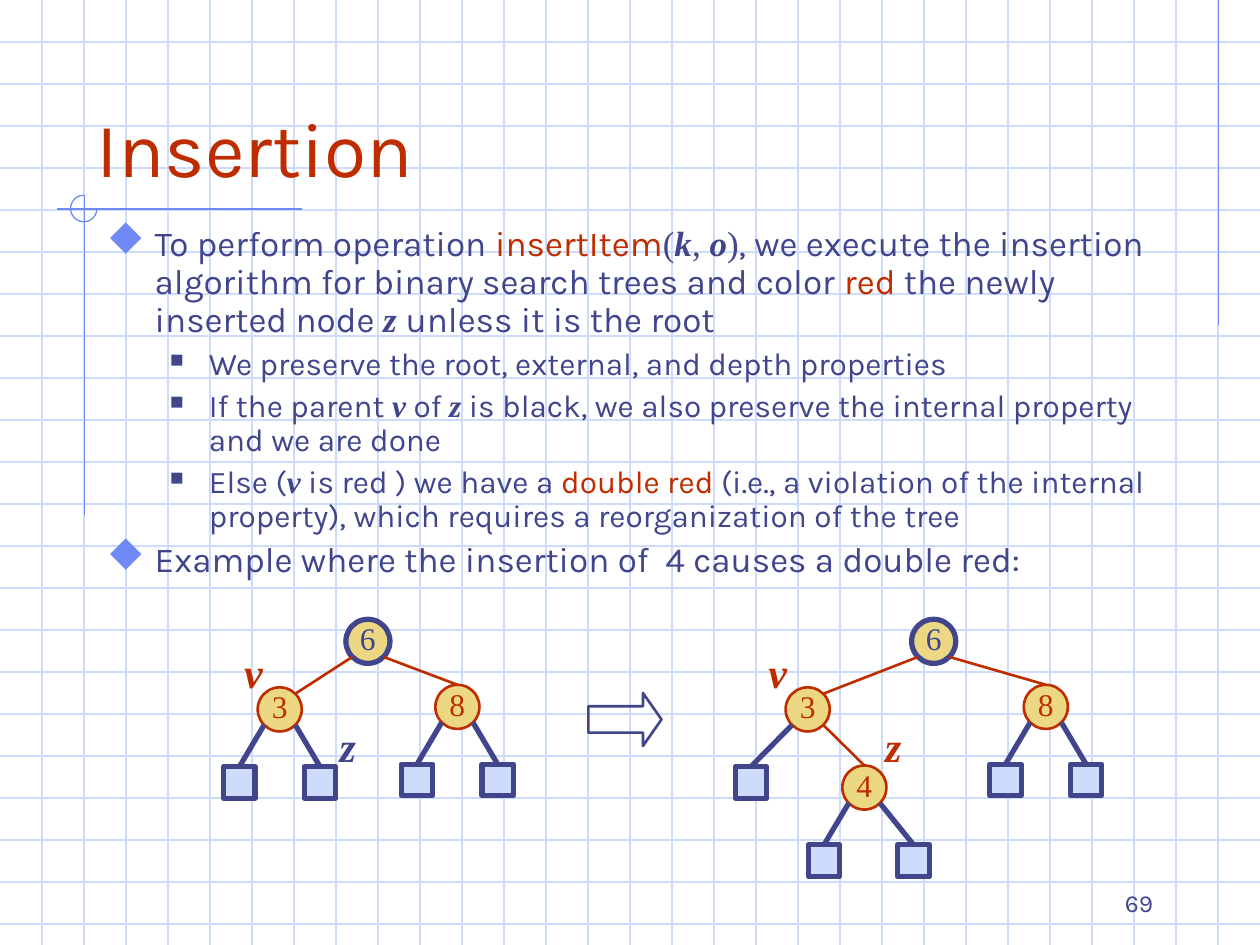
from itertools import chain
from math import sqrt
from lxml.etree import SubElement
from pptx import Presentation
from pptx.dml.color import RGBColor
from pptx.enum.shapes import MSO_CONNECTOR, MSO_SHAPE as Shape
from pptx.enum.text import MSO_ANCHOR as Anchor, PP_ALIGN as Align
from pptx.oxml.ns import qn
from pptx.util import Inches, Pt

WIDTH, HEIGHT, GRID = 10, 7.5, 1 / 3
INK, RED, ACCENT, PALE, GOLD = "40458C", "BE2D00", "6F89F7", "CFDBFD", "ECD882"
SANS, SERIF, BULLET_FONT = "Karla", "Times New Roman", "Wingdings"

PLAIN = {"name": SANS, "color": INK}
WARM = {"name": SANS, "color": RED}
ROMAN = {"name": SERIF, "color": INK}
SYMBOL = {**ROMAN, "bold": True, "italic": True}

DIAMOND, SQUARE = "u", "n"
LEVELS = [
    {"size": 20, "before": 5, "left": 0.38, "hang": 0.38, "bullet": DIAMOND, "color": ACCENT, "percent": 110},
    {"size": 18, "before": 4.5, "left": 0.81, "hang": 0.31, "bullet": SQUARE, "color": INK, "percent": 60},
]
BODY = [
    (0, [("To perform operation ", PLAIN), ("insertItem", WARM), ("(", ROMAN), ("k", SYMBOL),
         (", ", ROMAN), ("o", SYMBOL), (")", ROMAN),
         (", we execute the insertion algorithm for binary search trees and color ", PLAIN),
         ("red", WARM), (" the newly inserted node ", PLAIN), ("z ", SYMBOL),
         ("unless it is the root", PLAIN)]),
    (1, [("We preserve the root, external, and depth properties", PLAIN)]),
    (1, [("If the parent ", PLAIN), ("v", SYMBOL), (" of ", PLAIN), ("z", SYMBOL),
         (" is black, we also preserve the internal property and we are done", PLAIN)]),
    (1, [("Else (", PLAIN), ("v", SYMBOL), (" is red ) we have a ", PLAIN), ("double red", WARM),
         (" (i.e., a violation of the internal property), which requires a reorganization of the tree", PLAIN)]),
    (0, [("Example where the insertion of  4 causes a double red:", PLAIN)]),
]

TREES = [
    [("6", 2.92, 5.09, None, ()), ("3", 2.22, 5.63, "6", (-0.32, 0.32)),
     ("8", 3.63, 5.61, "6", (-0.32, 0.32))],
    [("6", 7.41, 5.09, None, ()), ("3", 6.41, 5.63, "6", (-0.45,)),
     ("8", 8.3, 5.61, "6", (-0.32, 0.32)), ("4", 6.86, 6.25, "3", (-0.32, 0.39))],
]
NODE_SIZE, LEAF_SIZE, LEAF_DROP = 0.35, 0.25, 0.58
DIAGONAL = NODE_SIZE / 2 / sqrt(2)
NODE_LABELS = [("z", 2.59, 5.67, INK), ("v", 1.84, 5.08, RED),
               ("v", 6, 5.08, RED), ("z", 6.92, 5.67, RED)]
FRAME_LINES = [(9.67, 0, 9.67, 2.58), (2.4, 1.66, 0.45, 1.66), (0.67, 1.55, 0.67, 4.09)]

presentation = Presentation()
presentation.slide_width, presentation.slide_height = Inches(WIDTH), Inches(HEIGHT)
slide = presentation.slides.add_slide(presentation.slide_layouts[6])


def rgb(value):
    return RGBColor.from_string(value)


def add_line(x1, y1, x2, y2, color, width, target=None):
    line = slide.shapes.add_connector(MSO_CONNECTOR.STRAIGHT, *map(Inches, (x1, y1, x2, y2)))
    line.line.color.rgb, line.line.width = rgb(color), Pt(width)
    SubElement(line._element.spPr, qn("a:effectLst"))
    if target is not None:
        line.end_connect(target, 0)


def add_shape(kind, x, y, width, height, color, weight, fill=None):
    shape = slide.shapes.add_shape(kind, *map(Inches, (x, y, width, height)))
    shape.shadow.inherit = False
    shape.line.color.rgb, shape.line.width = rgb(color), Pt(weight)
    if fill:
        shape.fill.solid()
        shape.fill.fore_color.rgb = rgb(fill)
    else:
        shape.fill.background()
    return shape


def add_runs(paragraph, runs, size):
    for text, style in runs:
        run = paragraph.add_run()
        run.text = text
        for key, value in {**style, "size": Pt(size)}.items():
            if key == "color":
                run.font.color.rgb = rgb(value)
            else:
                setattr(run.font, key, value)


def add_text(box, runs, size, align=Align.LEFT, anchor=Anchor.TOP):
    frame = slide.shapes.add_textbox(*map(Inches, box)).text_frame
    frame.word_wrap, frame.vertical_anchor = True, anchor
    frame.paragraphs[0].alignment = align
    add_runs(frame.paragraphs[0], runs, size)
    return frame


def add_bullet(paragraph, level):
    properties = paragraph._p.get_or_add_pPr()
    properties.set("marL", str(Inches(level["left"])))
    properties.set("indent", str(-Inches(level["hang"])))
    SubElement(SubElement(properties, qn("a:buClr")), qn("a:srgbClr"), val=level["color"])
    SubElement(properties, qn("a:buSzPct"), val=str(level["percent"] * 1000))
    SubElement(properties, qn("a:buFont"), typeface=BULLET_FONT, pitchFamily="2", charset="2")
    SubElement(properties, qn("a:buChar"), char=level["bullet"])


def add_body(box):
    frame = add_text(box, [], 20)
    for index, (depth, runs) in enumerate(BODY):
        level = LEVELS[depth]
        paragraph = frame.add_paragraph() if index else frame.paragraphs[0]
        add_bullet(paragraph, level)
        paragraph.level, paragraph.line_spacing = depth, 0.9
        paragraph.space_before = Pt(level["before"] if index else 0)
        add_runs(paragraph, runs, level["size"])


def add_node(label, x, y, color, weight):
    node = add_shape(Shape.OVAL, x - NODE_SIZE / 2, y - NODE_SIZE / 2,
                     NODE_SIZE, NODE_SIZE, color, weight, GOLD)
    frame = node.text_frame
    formats = {"margin_left": 0, "margin_right": 0, "margin_top": 0, "margin_bottom": Inches(0.05),
               "word_wrap": False, "vertical_anchor": Anchor.MIDDLE}
    for key, value in formats.items():
        setattr(frame, key, value)
    frame.paragraphs[0].alignment = Align.CENTER
    add_runs(frame.paragraphs[0], [(label, {"name": SERIF, "color": color})], 18)
    return node


def add_tree(nodes):
    centres = {label: (x, y) for label, x, y, *_ in nodes}
    for label, x, y, parent, leaf_offsets in nodes:
        node = add_node(label, x, y, RED if parent else INK, 1.5 if parent else 3)
        if parent:
            parent_x, parent_y = centres[parent]
            side = 1 if x > parent_x else -1
            add_line(parent_x + side * DIAGONAL, parent_y + DIAGONAL, x + DIAGONAL, y - DIAGONAL,
                     RED, 1.5, node if side > 0 else None)
        for offset in leaf_offsets:
            leaf = add_shape(Shape.RECTANGLE, x + offset - LEAF_SIZE / 2, y + LEAF_DROP - LEAF_SIZE / 2,
                             LEAF_SIZE, LEAF_SIZE, INK, 3, PALE)
            side = 1 if offset > 0 else -1
            add_line(x + side * DIAGONAL, y + DIAGONAL, x + offset, y + LEAF_DROP, INK, 3, leaf)


rows = ((0, row * GRID, WIDTH, row * GRID) for row in range(1, 23))
columns = ((column * GRID, 0, column * GRID, HEIGHT) for column in range(1, 30))
for ends in chain(rows, columns):
    add_line(*ends, PALE, 0.75)
for ends in FRAME_LINES:
    add_line(*ends, ACCENT, 0.75)
corner_arc = add_shape(Shape.ARC, 0.56, 1.55, 0.21, 0.21, ACCENT, 0.75)
corner_arc.adjustments[0], corner_arc.adjustments[1] = 0, 162

add_text((0.67, 0.33, 8.5, 1.25), [("Insertion", WARM)], 44, anchor=Anchor.BOTTOM)
add_body((0.75, 1.75, 8.83, 3.08))
for tree in TREES:
    add_tree(tree)
for letter, x, y, color in NODE_LABELS:
    add_text((x, y, 0.34, 0.5), [(letter, {**SYMBOL, "color": color})], 24, Align.CENTER)
arrow = add_shape(Shape.RIGHT_ARROW, 4.67, 5.5, 0.58, 0.42, INK, 1.5)
arrow.adjustments[0], arrow.adjustments[1] = 0.5, 0.35
add_text((7.17, 6.83, 2.08, 0.5), [("69", PLAIN)], 14, Align.RIGHT, Anchor.BOTTOM)

presentation.save("out.pptx")
